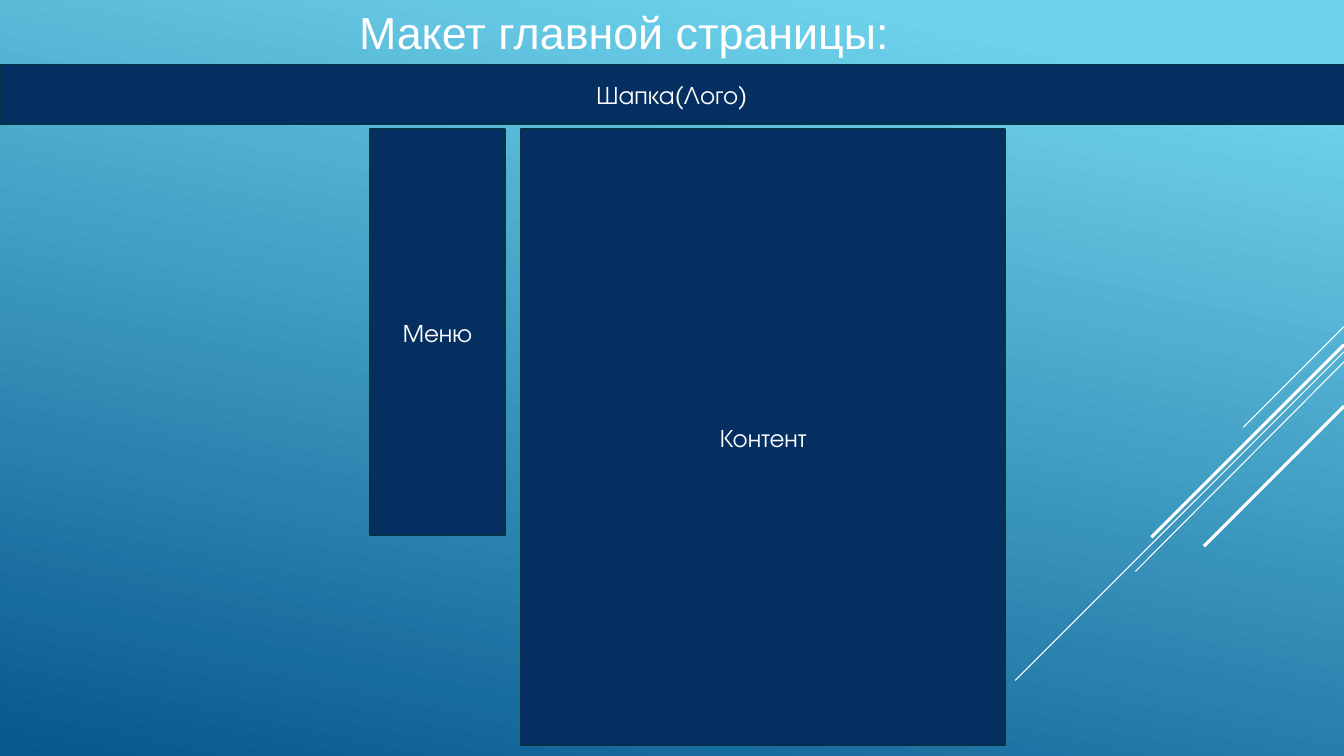
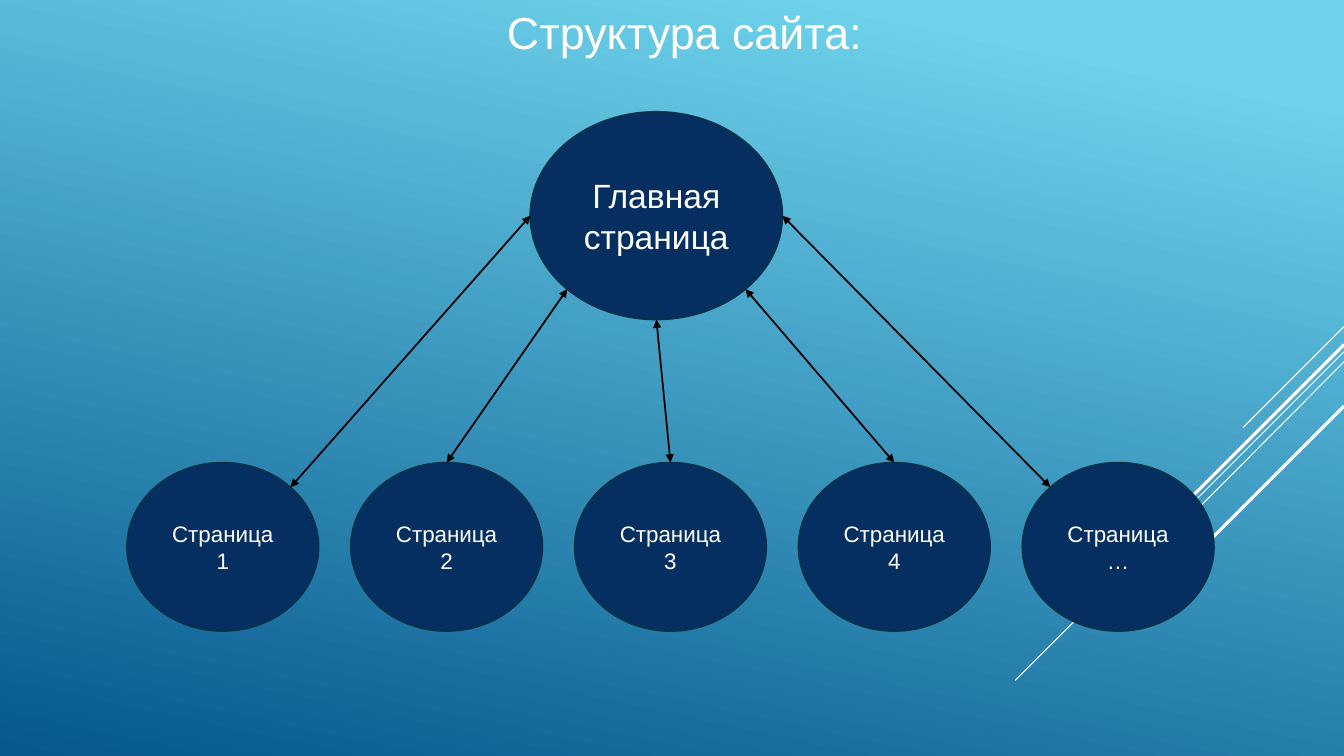
import math

import pptx
import pptx.dml.color
import pptx.enum.shapes
import pptx.enum.text
import pptx.oxml
import pptx.oxml.ns
import pptx.util
from pptx.util import Inches

COLORS = {
    "sky": "6ED2EB",
    "sea": "06588E",
    "navy": "052F61",
    "edge": "043148",
    "white": "FFFFFF",
    "black": "000000",
}
RECTANGLE = pptx.enum.shapes.MSO_SHAPE.RECTANGLE
ELLIPSE = pptx.enum.shapes.MSO_SHAPE.OVAL
PAGE_WIDTH, PAGE_HEIGHT = 13.33, 7.5

# Diagonal strokes: top, bottom, left end, line width
STROKES = [
    (3.24, 4.24, 12.33, 0.75),
    (3.49, 6.75, 10.07, 0.75),
    (3.59, 5.67, 11.26, 0.75),
    (3.42, 5.33, 11.42, 2.25),
    (4.03, 5.42, 11.94, 2.25),
]


def color(name):
    return pptx.dml.color.RGBColor.from_string(COLORS[name])


def ellipse_point(at, degrees):
    """Point on the ellipse inside a frame, clockwise from the right."""
    left, top, width, height = at
    angle = math.radians(degrees)
    return (left + width / 2 * (1 + math.cos(angle)),
            top + height / 2 * (1 + math.sin(angle)))


class Sketch:
    """Shared style and the current slide."""

    def __init__(self):
        self.deck = pptx.Presentation()
        self.deck.slide_width = Inches(PAGE_WIDTH)
        self.deck.slide_height = Inches(PAGE_HEIGHT)
        self.page = None

    def new_page(self, title, left, width):
        self.page = self.deck.slides.add_slide(self.deck.slide_layouts[6])
        self.background()
        for top, bottom, end, weight in STROKES:
            self.line((PAGE_WIDTH, top), (end, bottom), "white", weight)
        box = self.page.shapes.add_textbox(*map(Inches, (left, 0, width, 0.64)))
        self.text(box, title, 32, "Arial", margin_left=0, margin_right=0)

    def background(self):
        fill = self.page.background.fill
        fill.gradient()
        fill.gradient_angle = 258
        for stop, (name, position) in zip(fill.gradient_stops, [("sky", 0.1), ("sea", 1)]):
            stop.color.rgb = color(name)
            stop.position = position

    def text(self, shape, words, size, font, **frame_format):
        frame = shape.text_frame
        for name, value in {"word_wrap": True, **frame_format}.items():
            setattr(frame, name, value)
        para = frame.paragraphs[0]
        para.alignment = pptx.enum.text.PP_ALIGN.CENTER
        span = para.add_run()
        span.text = words
        for name, value in {"size": pptx.util.Pt(size), "name": font}.items():
            setattr(span.font, name, value)
        span.font.color.rgb = color("white")

    def block(self, kind, at, words, size, font):
        shape = self.page.shapes.add_shape(kind, *map(Inches, at))
        shape.shadow.inherit = False
        shape.fill.solid()
        shape.fill.fore_color.rgb = color("navy")
        shape.line.color.rgb = color("edge")
        shape.line.width = pptx.util.Pt(1.25)
        self.text(shape, words, size, font,
                  vertical_anchor=pptx.enum.text.MSO_ANCHOR.MIDDLE)

    def line(self, start, end, name, weight):
        connector = self.page.shapes.add_connector(
            pptx.enum.shapes.MSO_CONNECTOR.STRAIGHT, *map(Inches, start + end))
        connector.line.color.rgb = color(name)
        connector.line.width = pptx.util.Pt(weight)
        pptx.oxml.parse_xml(f'<a:effectLst {pptx.oxml.ns.nsdecls("a")}/>')
        connector._element.spPr.append(
            pptx.oxml.parse_xml(f'<a:effectLst {pptx.oxml.ns.nsdecls("a")}/>'))
        return connector

    def double_arrow(self, start, end):
        stroke = self.line(start, end, "black", 1.25).line._get_or_add_ln()
        for tag in ("headEnd", "tailEnd"):
            stroke.append(pptx.oxml.parse_xml(
                f'<a:{tag} {pptx.oxml.ns.nsdecls("a")} type="triangle"/>'))


def main():
    sketch = Sketch()

    # Main page layout
    sketch.new_page("Макет главной страницы:", 3.4, 5.58)
    for words, at in [
        ("Шапка(Лого)", (0, 0.64, PAGE_WIDTH, 0.59)),
        ("Контент", (5.17, 1.28, 4.8, 6.11)),
        ("Меню", (3.67, 1.28, 1.34, 4.03)),
    ]:
        sketch.block(RECTANGLE, at, words, 18, "TeX Gyre Adventor")

    # Site structure: one main page over a row of pages
    sketch.new_page("Структура сайта:", 4.92, 3.74)
    main_at = (5.26, 1.11, 2.5, 2.06)
    sketch.block(ELLIPSE, main_at, "Главная страница", 24, "Arial")
    page_frames = [(1.26 + 2.22 * index, 4.59, 1.9, 1.67) for index in range(5)]
    for at, label in zip(page_frames, "1234…"):
        sketch.block(ELLIPSE, at, f"Страница {label}", 16, "Arial")

    # Arrows, by the angle at which they leave each ellipse
    page_angles = [315, 270, 270, 270, 225]
    main_angles = [180, 135, 90, 45, 0]
    for at, page_angle, main_angle in zip(page_frames, page_angles, main_angles):
        sketch.double_arrow(ellipse_point(at, page_angle),
                            ellipse_point(main_at, main_angle))

    sketch.deck.save("out.pptx")


if __name__ == "__main__":
    main()
